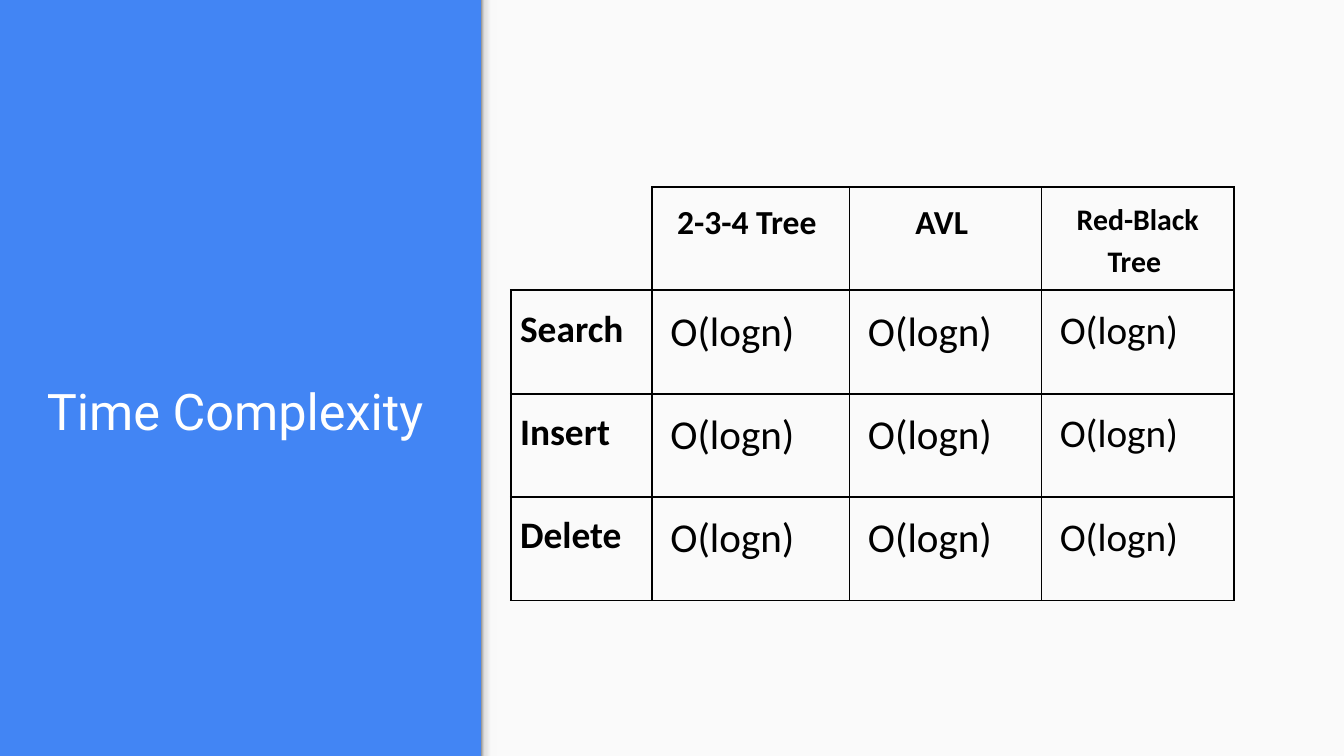
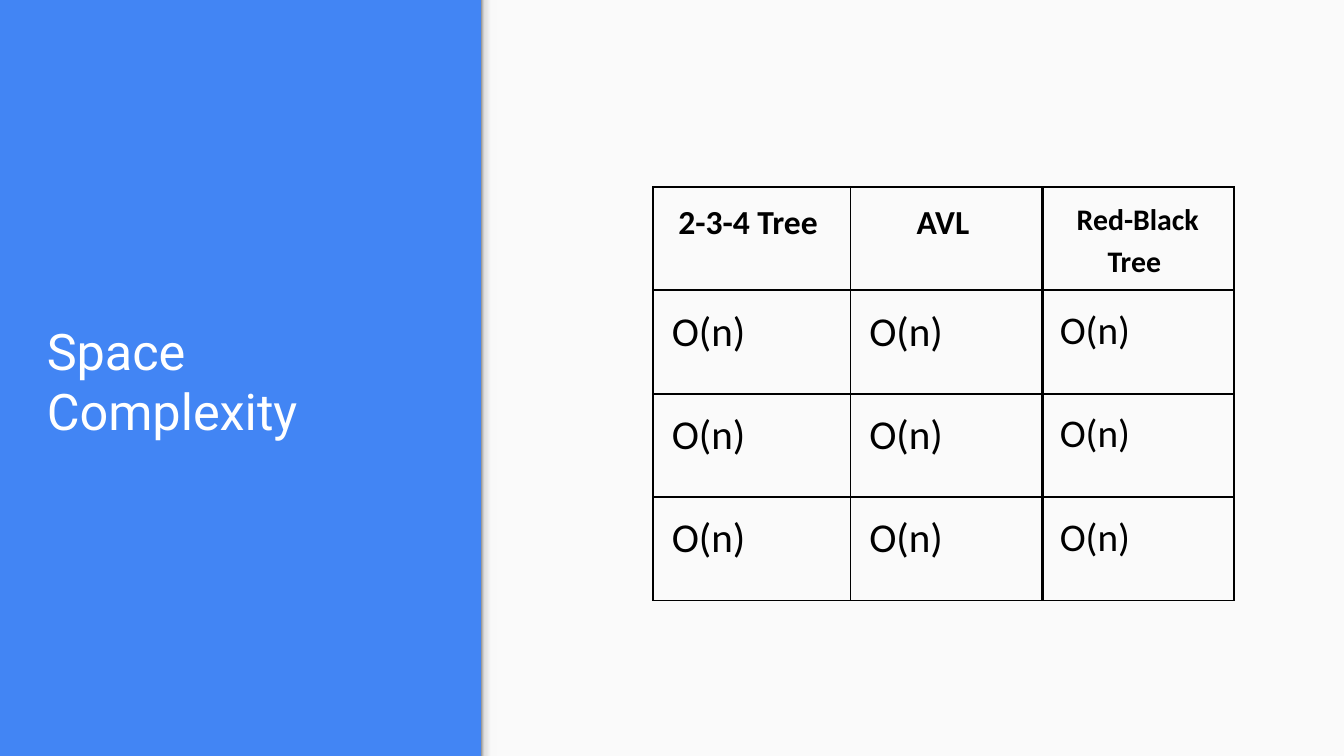
from dataclasses import dataclass

from lxml import etree
from pptx import Presentation
from pptx.dml.color import RGBColor as RGB
from pptx.enum.shapes import MSO_SHAPE as SHAPE
from pptx.enum.text import MSO_ANCHOR as ANCHOR, PP_ALIGN as ALIGN
from pptx.oxml import parse_xml
from pptx.oxml.ns import nsdecls, qn
from pptx.util import Inches, Pt

COLORS = {
    "blue": "4285F4",
    "panel": "FAFAFA",
    "white": "FFFFFF",
    "black": "000000",
}
EDGE_STOPS = [(0, "F9F9F9"), (36, "F9F9F9"), (80, "DEDEDE"), (100, "999999")]
TITLE_FONT, TABLE_FONT = "Roboto", "Calibri"

SLIDE_W = 10
SLIDE_H = SLIDE_W * 9 / 16
PANEL_X = 3.58
EDGE_W = 0.12
TABLE_TOP, ROW_H = 1.39, 0.77
FRAME_SIZE = 3.28
CELL_MARGIN = 0.07
OPERATIONS = ["Search", "Insert ", "Delete "]


@dataclass(frozen=True)
class Column:
    width: float
    header: str
    entries: list[str]
    header_size: int
    entry_size: int
    bold_entries: bool = False


@dataclass(frozen=True)
class Grid:
    left: float
    columns: list[Column]


@dataclass(frozen=True)
class ComplexitySlide:
    title: str
    grids: list[Grid]


def color(name: str) -> RGB:
    return RGB.from_string(COLORS[name])


def style_run(r, font: str, size: int, color_name: str, bold: bool = False) -> None:
    r.font.name = font
    r.font.size = Pt(size)
    r.font.bold = bold
    r.font.color.rgb = color(color_name)


def add_rect(s, x: float, y: float, w: float, h: float):
    sp = s.shapes.add_shape(SHAPE.RECTANGLE, Inches(x), Inches(y), Inches(w), Inches(h))
    sp.shadow.inherit = False
    sp.line.fill.background()
    return sp


def add_backdrop(s) -> None:
    """Blue background, light panel and the shaded edge between them."""
    s.background.fill.solid()
    s.background.fill.fore_color.rgb = color("blue")
    panel = add_rect(s, PANEL_X, 0, SLIDE_W - PANEL_X, SLIDE_H)
    panel.fill.solid()
    panel.fill.fore_color.rgb = color("panel")

    # The edge is a flat strip turned upright
    center_x = PANEL_X + EDGE_W / 2
    edge = add_rect(s, center_x - SLIDE_H / 2, (SLIDE_H - EDGE_W) / 2, SLIDE_H, EDGE_W)
    edge.rotation = 270
    stops = "".join(
        f'<a:gs pos="{pos * 1000}"><a:srgbClr val="{rgb}"/></a:gs>'
        for pos, rgb in EDGE_STOPS
    )
    gradient = parse_xml(
        f'<a:gradFill rotWithShape="1" {nsdecls("a")}><a:gsLst>{stops}</a:gsLst>'
        '<a:lin ang="16200000" scaled="0"/></a:gradFill>'
    )
    edge.element.spPr.find(qn("a:prstGeom")).addnext(gradient)


def add_title(s, text: str) -> None:
    sp = s.shapes.add_textbox(Inches(0.25), Inches(0.39), Inches(3.07), Inches(2.99))
    tf = sp.text_frame
    tf.word_wrap = True
    tf.vertical_anchor = ANCHOR.BOTTOM
    tf.margin_left = tf.margin_right = tf.margin_top = tf.margin_bottom = Inches(0.1)
    tf.text = text
    style_run(tf.paragraphs[0].runs[0], TITLE_FONT, 27, "white")


def set_borders(cell, hidden: str = "") -> None:
    """Draw 1 pt borders on all sides but the hidden ones."""
    tc_pr = cell._tc.get_or_add_tcPr()
    for i, side in enumerate("LRTB"):
        ln = etree.Element(qn(f"a:ln{side}"), w=str(Pt(1)))
        if side in hidden:
            etree.SubElement(ln, qn("a:noFill"))
        else:
            fill = etree.SubElement(ln, qn("a:solidFill"))
            etree.SubElement(fill, qn("a:srgbClr"), val=COLORS["black"])
        tc_pr.insert(i, ln)


def fill_cell(cell, text: str, size: int, bold: bool, align: ALIGN) -> None:
    cell.fill.background()
    cell.margin_left = cell.margin_right = Inches(CELL_MARGIN)
    cell.margin_top = cell.margin_bottom = Inches(CELL_MARGIN)
    set_borders(cell, hidden="" if text else "LT")
    p = cell.text_frame.paragraphs[0]
    p.text = text
    p.alignment = align
    p.line_spacing = 1.15
    for r in p.runs:
        style_run(r, TABLE_FONT, size, "black", bold)


def add_grid(s, grid: Grid) -> None:
    frame = s.shapes.add_table(
        len(OPERATIONS) + 1, len(grid.columns), Inches(grid.left), Inches(TABLE_TOP),
        Inches(FRAME_SIZE), Inches(FRAME_SIZE),
    )
    table = frame.table
    table.first_row = table.horz_banding = False
    for row in table.rows:
        row.height = Inches(ROW_H)
    for j, col in enumerate(grid.columns):
        table.columns[j].width = Inches(col.width)
        fill_cell(table.cell(0, j), col.header, col.header_size, True, ALIGN.CENTER)
        for i, entry in enumerate(col.entries, start=1):
            fill_cell(table.cell(i, j), entry, col.entry_size, col.bold_entries, ALIGN.LEFT)
    # Row and column sizes reset the frame, so its own size comes last
    frame.width = frame.height = Inches(FRAME_SIZE)


def tree_columns(cost: str) -> list[Column]:
    costs = [f" {cost}"] * len(OPERATIONS)
    return [
        Column(1.47, "2-3-4 Tree ", costs, 18, 22),
        Column(1.43, "AVL ", costs, 18, 22),
        Column(1.43, "Red-Black Tree ", costs, 16, 21),
    ]


# Slide content: the red-black column is a table of its own
RED_BLACK_X = 7.75
operation_column = Column(1.05, "", OPERATIONS, 18, 20, bold_entries=True)
*time_main, time_red_black = tree_columns("O(logn)")
*space_main, space_red_black = tree_columns("O(n)")
SLIDES = [
    ComplexitySlide("Time Complexity", [
        Grid(3.8, [operation_column, *time_main]),
        Grid(RED_BLACK_X, [time_red_black]),
    ]),
    ComplexitySlide("Space Complexity", [
        Grid(4.86, space_main),
        Grid(RED_BLACK_X, [space_red_black]),
    ]),
]

# Build the deck
prs = Presentation()
prs.slide_width, prs.slide_height = Inches(SLIDE_W), Inches(SLIDE_H)
for content in SLIDES:
    s = prs.slides.add_slide(prs.slide_layouts[6])
    add_backdrop(s)
    add_title(s, content.title)
    for grid in content.grids:
        add_grid(s, grid)
prs.save("out.pptx")
